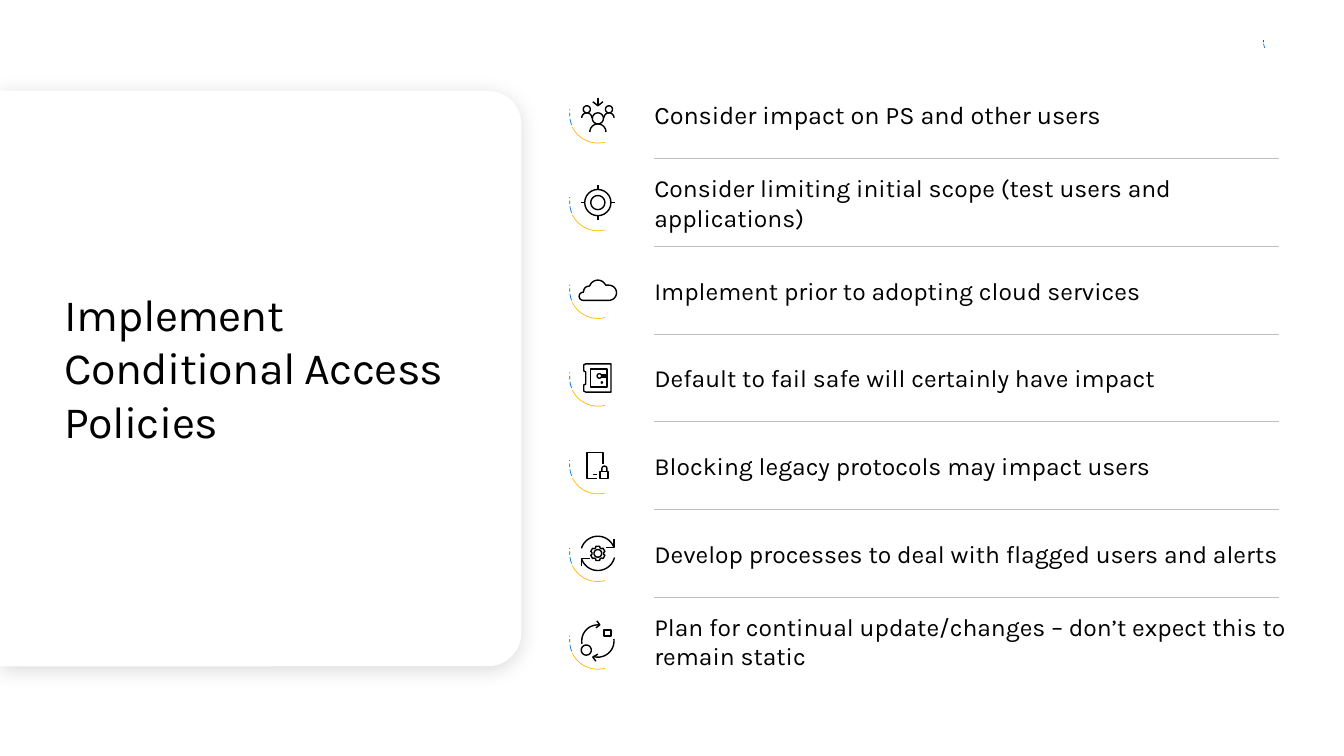
from math import cos, radians, sin

from lxml import etree
from pptx import Presentation
from pptx import util as u
from pptx.dml.color import RGBColor
from pptx.enum import shapes, text
from pptx.oxml.ns import qn


def arc(x, y, radius, start=0, end=360, steps=24):
    """Points along a circle; angles run clockwise from the right."""
    angles = [radians(start + (end - start) * i / steps) for i in range(steps + 1)]
    return [(x + radius * cos(a), y + radius * sin(a)) for a in angles]


def rect(left, top, right, bottom):
    return [(left, top), (right, top), (right, bottom), (left, bottom), (left, top)]


def gear(teeth, inner, outer):
    profile = [(-22, inner), (-15, outer), (15, outer), (22, inner)]
    turns = [(30 + 360 * i / teeth + a, r) for i in range(teeth) for a, r in profile]
    return [(r * cos(radians(a)), r * sin(radians(a))) for a, r in turns + turns[:1]]


# Icon strokes, in hundredths of an inch from the middle of the ring
USERS = [arc(0, 3.5, 5.5), arc(0, 17, 8, 180, 360),
         arc(-11, -5.5, 3.5), arc(-11, 3, 5, 180, 360),
         arc(11, -5.5, 3.5), arc(11, 3, 5, 180, 360),
         [(0, -17), (0, -9)], [(-5, -13), (0, -9), (5, -13)]]
TARGET = [arc(0, 0, 13), arc(0, 0, 7)] + [
    [(13 * x, 13 * y), (17 * x, 17 * y)] for x, y in [(1, 0), (0, 1), (-1, 0), (0, -1)]]
CLOUD = [arc(11, 2.5, 7.5, -90, 90) + arc(-14.5, 6, 4, 90, 270)
         + arc(-9, 1, 5, 180, 270) + arc(0, -1.5, 8.5, 200, 335) + [(11, -5)]]
SAFE = [[(13, -14), (13, 14), (-12, 14), (-14, 13), (-14, 7), (-12, 6), (-12, -6),
         (-14, -7), (-14, -13), (-12, -14), (13, -14)],
        rect(-7, -9, 9, 9), arc(1.5, -2, 2.2), arc(4, 4.5, 0.6),
        [(3, -3), (9, -3)], [(3, -1), (9, -1)]]
LOCKED_DEVICE = [[(-1, 13), (-11, 13), (-11, -13), (5, -13), (5, -2)],
                 rect(2, 6, 10, 13), [(4, 6)] + arc(6.5, 3, 2.5, 180, 360) + [(9, 6)],
                 [(-5, 9), (-1, 9)]]
PROCESS = [arc(0, 0, 17, 14, 163), arc(0, 0, 17, 197, 340),
           [(8, -6), (16, -6), (16, -14)], [(-8, 5), (-16, 5), (-16, 13)],
           arc(0, 0, 3.8), gear(6, 5.8, 7.3)]
CYCLE = [arc(0, 0, 16, 170, 277), arc(0, 0, 16, -7, 108),
         [(0, 13), (-5, 16), (-2, 20)], [(-2, -13), (2, -16), (-1, -20)],
         rect(6, -11, 13, -5), arc(-11.5, 9, 5)]

TITLE = "Implement Conditional Access Policies"
# label, icon, text size, box width, box height
ITEMS = [
    ("Consider impact on PS and other users", USERS, 18, 6.3, 0.3),
    ("Consider limiting initial scope (test users and applications)", TARGET, 17.6, 6.6, 0.3),
    ("Implement prior to adopting cloud services", CLOUD, 17.6, 6.3, 0.3),
    ("Default to fail safe will certainly have impact", SAFE, 17.6, 6.3, 0.3),
    ("Blocking legacy protocols may impact users", LOCKED_DEVICE, 17.6, 6.3, 0.3),
    ("Develop processes to deal with flagged users and alerts", PROCESS, 17.6, 6.3, 0.3),
    ("Plan for continual update/changes – don’t expect this to remain static",
     CYCLE, 17.6, 6.3, 0.61),
]
# rotation, start and end adjustment, colour
YELLOW_ARC = (0, 45.055, 92.538, "FFB900")
THIN_ARCS = [(83.9, 45.055, 53.098, "0078D4"), (102, 45.055, 49.111, "107C10")]

FIRST_ROW, ROW_STEP = 1.14, 0.87
ICON_X, LABEL_LEFT, RULE_RIGHT = 5.93, 6.49, 12.69

deck = Presentation()
deck.slide_width, deck.slide_height = u.Inches(13.33), u.Inches(7.5)
page = deck.slides.add_slide(deck.slide_layouts[6])


def color(code):
    return RGBColor.from_string(code)


def style(shape, fill=None, line=None, width=0.5):
    shape.shadow.inherit = False
    if fill:
        shape.fill.solid()
        shape.fill.fore_color.rgb = color(fill)
    else:
        shape.fill.background()
    if line:
        shape.line.color.rgb = color(line)
        shape.line.width = u.Pt(width)
    else:
        shape.line.fill.background()


def add_shape(kind, x, y, width, height, **look):
    """Add a preset shape centred on x, y."""
    shape = page.shapes.add_shape(kind, u.Inches(x - width / 2), u.Inches(y - height / 2),
                                  u.Inches(width), u.Inches(height))
    style(shape, **look)
    return shape


def add_arcs(x, y, size, arcs):
    for rotation, start, end, code in arcs:
        shape = add_shape(shapes.MSO_SHAPE.ARC, x, y, size, size, line=code)
        shape.adjustments[0], shape.adjustments[1] = start, end
        shape.rotation = rotation


def add_icon(x, y, strokes):
    placed = [[(x * 10000 + px * 100, y * 10000 + py * 100) for px, py in stroke]
              for stroke in strokes]
    builder = page.shapes.build_freeform(*placed[0][0], scale=91.44)
    for number, points in enumerate(placed):
        if number:
            builder.move_to(*points[0])
        builder.add_line_segments(points[1:], close=False)
    style(builder.convert_to_shape(), line="000000", width=1)


def add_text(words, left, top, width, height, size, anchor):
    box = page.shapes.add_textbox(*map(u.Inches, (left, top, width, height)))
    frame = box.text_frame
    frame.margin_left = frame.margin_right = frame.margin_top = frame.margin_bottom = 0
    frame.word_wrap = True
    frame.auto_size = text.MSO_AUTO_SIZE.SHAPE_TO_FIT_TEXT
    frame.vertical_anchor = anchor
    frame.text = words
    para = frame.paragraphs[0]
    span = para.runs[0]
    span.font.name, span.font.size = "Karla", u.Pt(size)
    span.font.color.rgb = color("000000")
    return para


def add_card():
    card = add_shape(shapes.MSO_SHAPE.ROUND_2_SAME_RECTANGLE, 2.585, 3.755, 5.71, 5.17,
                     fill="FFFFFF")
    card.adjustments[0], card.adjustments[1] = 0.064, 0
    card.rotation = 90
    effects = card._element.spPr.find(qn("a:effectLst"))
    shadow = etree.SubElement(effects, qn("a:outerShdw"), blurRad=str(u.Pt(15)),
                              dist=str(u.Pt(3)), dir="5400000", rotWithShape="0")
    tint = etree.SubElement(shadow, qn("a:srgbClr"), val="000000")
    etree.SubElement(tint, qn("a:alpha"), val="14000")


def add_rule(y):
    rule = page.shapes.add_connector(shapes.MSO_CONNECTOR.STRAIGHT, u.Inches(LABEL_LEFT),
                                     u.Inches(y), u.Inches(RULE_RIGHT), u.Inches(y))
    rule.line.color.rgb = color("BFBFBF")
    rule.line.width = u.Pt(0.5)
    etree.SubElement(rule._element.spPr, qn("a:effectLst"))


add_card()
add_arcs(12.71, 0.41, 0.36, THIN_ARCS)
title = add_text(TITLE, 0.64, 2.84, 4.12, 1.82, 32, text.MSO_ANCHOR.TOP)
title.runs[0].font._element.set("spc", "-50")

for row, (label, icon, size, width, height) in enumerate(ITEMS):
    middle = FIRST_ROW + ROW_STEP * row
    add_shape(shapes.MSO_SHAPE.OVAL, ICON_X, middle, 0.6, 0.6, fill="FFFFFF")
    add_arcs(ICON_X, middle, 0.56, [YELLOW_ARC] + THIN_ARCS)
    add_shape(shapes.MSO_SHAPE.OVAL, ICON_X - 0.28, middle - 0.05, 0.01, 0.01, fill="737373")
    add_icon(ICON_X, middle, icon)
    para = add_text(label, LABEL_LEFT, middle - height / 2, width, height, size,
                    text.MSO_ANCHOR.MIDDLE)
    para.space_after = u.Pt(6)
    if row < len(ITEMS) - 1:
        add_rule(middle + ROW_STEP / 2)

deck.save("out.pptx")
